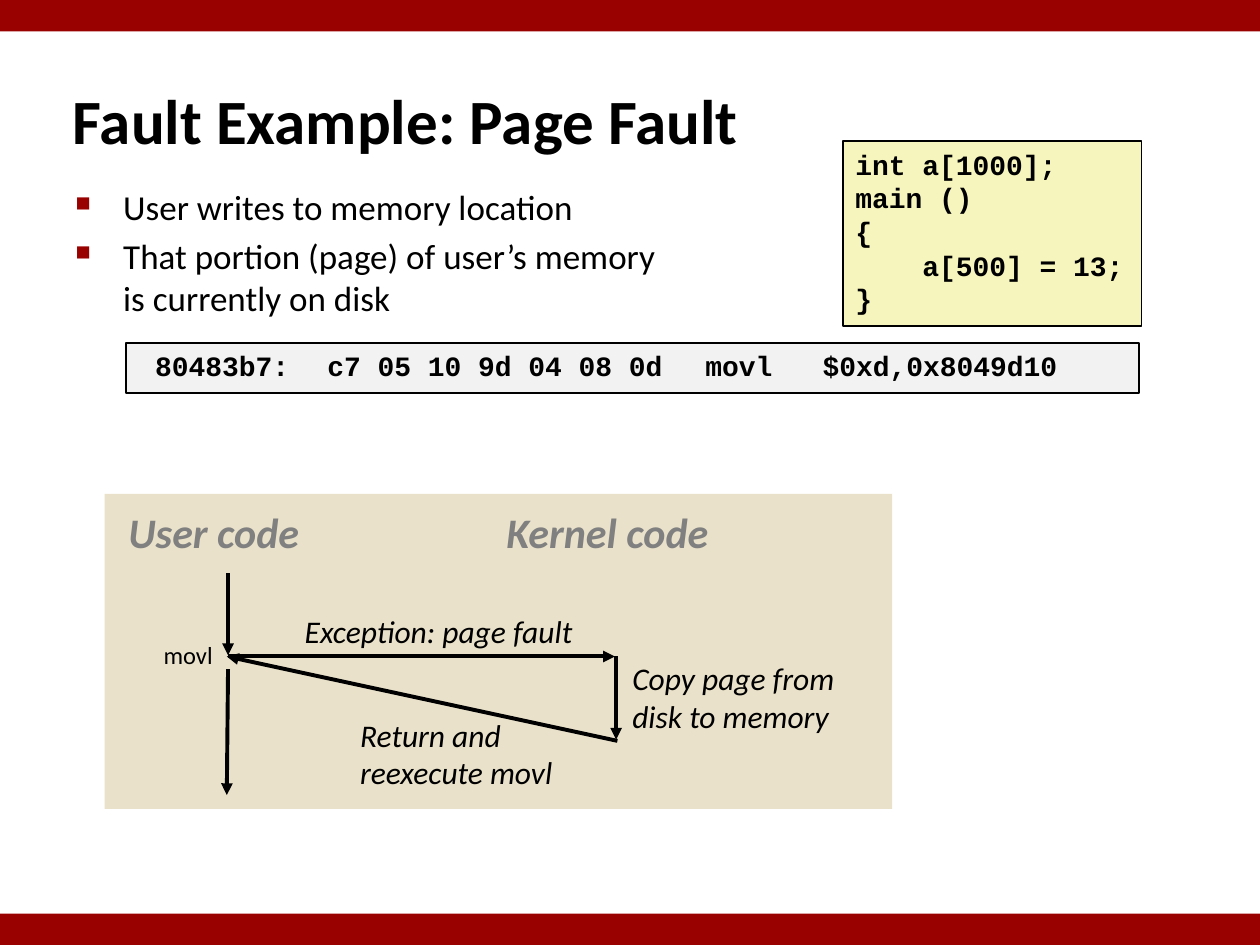
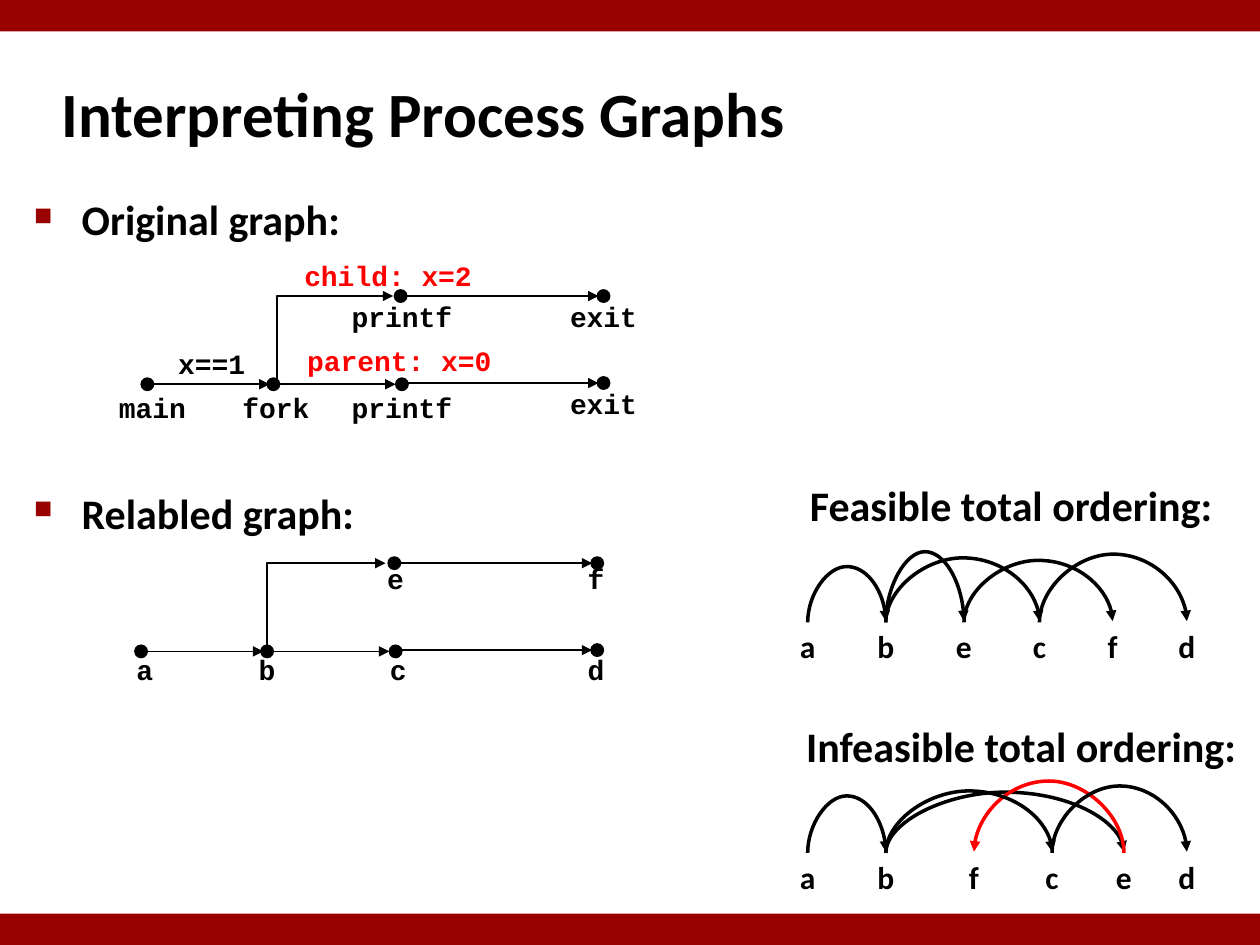
"""Build two slides: a page fault example and process graphs."""
from lxml import etree
from pptx import Presentation
from pptx.dml.color import RGBColor
from pptx.enum import shapes, text
from pptx.oxml import ns
from pptx.util import Inches, Pt

RED, BLACK, GREY, ALERT = "990000", "000000", "808080", "FF0000"
SANS, MONO = "Calibri", "Courier New"
CODE = dict(font=MONO, size=16, bold=True)
HEAD = dict(size=24, bold=True)

POINTS = ["User writes to memory location",
          "That portion (page) of user’s memory\vis currently on disk"]
SOURCE = ["int a[1000];", "main ()", "{", "    a[500] = 13;", "}"]
ASM = " 80483b7:\tc7 05 10 9d 04 08 0d \tmovl   $0xd,0x8049d10"
ROLES = [("User code", 0.92, 1.65), ("Kernel code", 3.92, 1.91)]
STEPS = [("Exception: page fault", (2.32, 4.81, 2.42, 0.4), False),
         ("Copy page from disk to memory", (4.92, 5.18, 2.16, 0.7), True),
         ("Return and reexecute movl", (2.76, 5.63, 1.99, 0.7), True)]
FLOW = [((1.81, 4.55), (1.81, 5.2)), ((1.81, 5.21), (4.88, 5.21)),
        ((4.89, 5.21), (4.89, 5.87)), ((4.9, 5.88), (1.8, 5.21)),
        ((1.81, 5.31), (1.8, 6.31))]

DOTS = [(1.17, 3.05), (2.17, 3.05), (3.19, 3.05),
        (3.18, 2.35), (4.79, 2.35), (4.79, 3.04)]
EDGES = [(1.22, 2.14, 3.05), (2.22, 3.14, 3.05),
         (3.21, 4.75, 2.35), (3.21, 4.75, 3.04)]
GRAPHS = [
    dict(head="Original graph:", top=1.49, shift=(0, 0),
         fork=((2.2, 3.05), (3.12, 2.35)),
         names=[("main", 1.21, 3.05), ("fork", 2.19, 3.05),
                ("printf", 3.19, 3.05), ("printf", 3.19, 2.33),
                ("x==1", 1.68, 2.7), ("exit", 4.79, 2.33),
                ("exit", 4.79, 3.02)],
         notes=[("child: x=2", 3.08, 2), ("parent: x=0", 3.17, 2.68)]),
    dict(head="Relabled graph:", top=3.82, shift=(-0.05, 2.12),
         fork=((2.12, 5.13), (3.06, 4.47)),
         names=[("a", 1.15, 5.13), ("b", 2.12, 5.13), ("c", 3.16, 5.13),
                ("e", 3.14, 4.41), ("f", 4.73, 4.41), ("d", 4.73, 5.13)],
         notes=[]),
]
ORDERS = [
    dict(head="Feasible total ordering:", at=(6.33, 3.76, 3.44, 0.5), base=4.94,
         spots=dict(a=6.41, b=7.03, e=7.65, c=8.25, f=8.83, d=9.42),
         arcs=[("ab", 0.45), ("be", 0.57), ("ef", 0.5), ("bc", 0.52),
               ("cd", 0.55)]),
    dict(head="Infeasible total ordering:", at=(6.3, 5.67, 3.67, 0.5), base=6.77,
         spots=dict(a=6.41, b=7.03, f=7.73, c=8.35, e=8.92, d=9.42),
         arcs=[("ab", 0.46), ("be", 0.49), ("ef", 0.58), ("bc", 0.5),
               ("cd", 0.54)]),
]


def rgb(code):
    """Turn a hex string into a colour."""
    return RGBColor.from_string(code)


def node(parent, tag, **attrs):
    """Append a drawing element with its attributes."""
    return etree.SubElement(parent, ns.qn("a:" + tag), attrs)


def shape(slide, at, fill, line=None, width=1, kind="RECTANGLE"):
    """Add a flat preset shape."""
    item = slide.shapes.add_shape(getattr(shapes.MSO_SHAPE, kind),
                                  *map(Inches, at))
    item.shadow.inherit = False
    item.fill.solid()
    item.fill.fore_color.rgb = rgb(fill)
    if line:
        item.line.color.rgb = rgb(line)
        item.line.width = Pt(width)
    else:
        item.line.fill.background()
    return item


def write(slide, words, at, item=None, font=SANS, size=18, color=BLACK,
          bold=False, italic=False, mid=False, wrap=False, bullet=False,
          anchor="TOP"):
    """Write one or more paragraphs in a new text box or a given shape."""
    item = item or slide.shapes.add_textbox(*map(Inches, at))
    frame = item.text_frame
    frame.word_wrap = wrap
    frame.vertical_anchor = getattr(text.MSO_ANCHOR, anchor)
    for i, line in enumerate([words] if isinstance(words, str) else words):
        para = frame.add_paragraph() if i else frame.paragraphs[0]
        para.text = line
        para.alignment = text.PP_ALIGN.CENTER if mid else text.PP_ALIGN.LEFT
        if bullet:
            props = para._p.get_or_add_pPr()
            props.set("marL", str(Inches(0.38)))
            props.set("indent", str(-Inches(0.38)))
            node(node(props, "buClr"), "srgbClr", val=RED)
            node(props, "buSzPct", val="60000")
            node(props, "buChar", char="■")
            if i:
                para.space_before = Pt(size * 0.2)
        for run in para.runs:
            face = run.font
            face.name, face.size = font, Pt(size)
            face.bold, face.italic = bold, italic
            face.color.rgb = rgb(color)


def arrow(slide, start, end, width=1, color=BLACK, kind="STRAIGHT"):
    """Add a connector with an arrowhead at its end."""
    link = slide.shapes.add_connector(getattr(shapes.MSO_CONNECTOR, kind),
                                      *map(Inches, start + end))
    link.line.color.rgb = rgb(color)
    link.line.width = Pt(width)
    node(link.line._get_or_add_ln(), "tailEnd", type="triangle")
    node(link._element.spPr, "effectLst")
    return link


def turn(link, start, end, preset, rise=None):
    """Make a connector leave its start upwards, as a bend or an arc."""
    (x, y), (tox, toy) = start, end
    wide, high = abs(y - toy), abs(tox - x)
    link.left = Inches((x + tox - wide) / 2)
    link.top = Inches((y + toy - high) / 2)
    link.width, link.height = Inches(wide), Inches(high)
    props = link._element.spPr
    frame = props.find(ns.qn("a:xfrm"))
    for key in ("flipH", "flipV", "rot"):
        frame.attrib.pop(key, None)
    frame.set("flipV", "1")
    if tox > x:
        frame.set("flipH", "1")
    frame.set("rot", "5400000" if tox > x else "16200000")
    form = props.find(ns.qn("a:prstGeom"))
    form.set("prst", preset)
    if rise:
        for old in list(form):
            form.remove(old)
        node(node(form, "avLst"), "gd", name="adj1",
             fmla=f"val {round(rise / wide * 100000)}")


def title(slide, words, at):
    """Write the slide title."""
    write(slide, words, at, size=36, bold=True, wrap=True, anchor="MIDDLE")


def bands(slide):
    """Draw the bands at the top and bottom."""
    for top in (0, 7.25):
        shape(slide, (0, top, 10, 0.25), RED)


def fault(slide):
    """Build the page fault slide."""
    shape(slide, (0.83, 3.92, 6.25, 2.5), "E9E1C9")
    title(slide, "Fault Example: Page Fault", (0.48, 0.64, 8.63, 0.61))
    write(slide, POINTS, (0.5, 1.42, 6, 1.17), size=20, bullet=True, wrap=True)
    for words, at, fill in ((SOURCE, (6.69, 1.12, 2.37, 1.47), "F6F5BD"),
                            (ASM, (1, 2.72, 8.04, 0.4), "F2F2F2")):
        write(slide, words, at, shape(slide, at, fill, BLACK), **CODE)
    for role, left, wide in ROLES:
        write(slide, role, (left, 3.97, wide, 0.5), color=GREY, italic=True,
              **HEAD)
    for start, end in FLOW:
        arrow(slide, start, end, 2.25)
    for words, at, wrap in STEPS:
        write(slide, words, at, italic=True, wrap=wrap)
    write(slide, "movl", (1.2, 5.03, 0.6, 0.34), size=14)


def graph(slide, data):
    """Draw a process graph with its heading."""
    dx, dy = data["shift"]
    write(slide, data["head"], (0.17, data["top"], 5.25, 0.5), bullet=True,
          wrap=True, **HEAD)
    for x, y in DOTS:
        shape(slide, (x + dx - 0.05, y + dy - 0.05, 0.1, 0.1), BLACK, BLACK,
              0.75, "OVAL")
    for x, tox, y in EDGES:
        arrow(slide, (x + dx, y + dy), (tox + dx, y + dy))
    start, end = data["fork"]
    turn(arrow(slide, start, end, kind="ELBOW"), start, end, "bentConnector2")
    for group, wide, color in (("names", 1.04, BLACK), ("notes", 2.01, ALERT)):
        for name, x, y in data[group]:
            write(slide, name, (x - wide / 2, y, wide, 0.37), color=color,
                  mid=True, wrap=True, **CODE)


def order(slide, data):
    """Draw a row of letters joined by arcs; backward arcs are red."""
    base, spots = data["base"], data["spots"]
    write(slide, data["head"], data["at"], **HEAD)
    for name, x in spots.items():
        write(slide, name, (x - 0.17, base - 0.01, 0.34, 0.4), bold=True,
              mid=True)
    for (one, two), rise in data["arcs"]:
        start, end = (spots[one], base), (spots[two], base - 0.01)
        color = ALERT if spots[two] < spots[one] else BLACK
        link = arrow(slide, start, end, 2, color, "CURVE")
        turn(link, start, end, "curvedConnector3", rise)


def graphs(slide):
    """Build the process graph slide."""
    title(slide, "Interpreting Process Graphs", (0.39, 0.48, 8.3, 0.83))
    for data in GRAPHS:
        graph(slide, data)
    for data in ORDERS:
        order(slide, data)


def main():
    """Build and save the deck."""
    deck = Presentation()
    deck.slide_width, deck.slide_height = Inches(10), Inches(7.5)
    for build in (fault, graphs):
        slide = deck.slides.add_slide(deck.slide_layouts[6])
        build(slide)
        bands(slide)
    deck.save("out.pptx")


if __name__ == "__main__":
    main()
